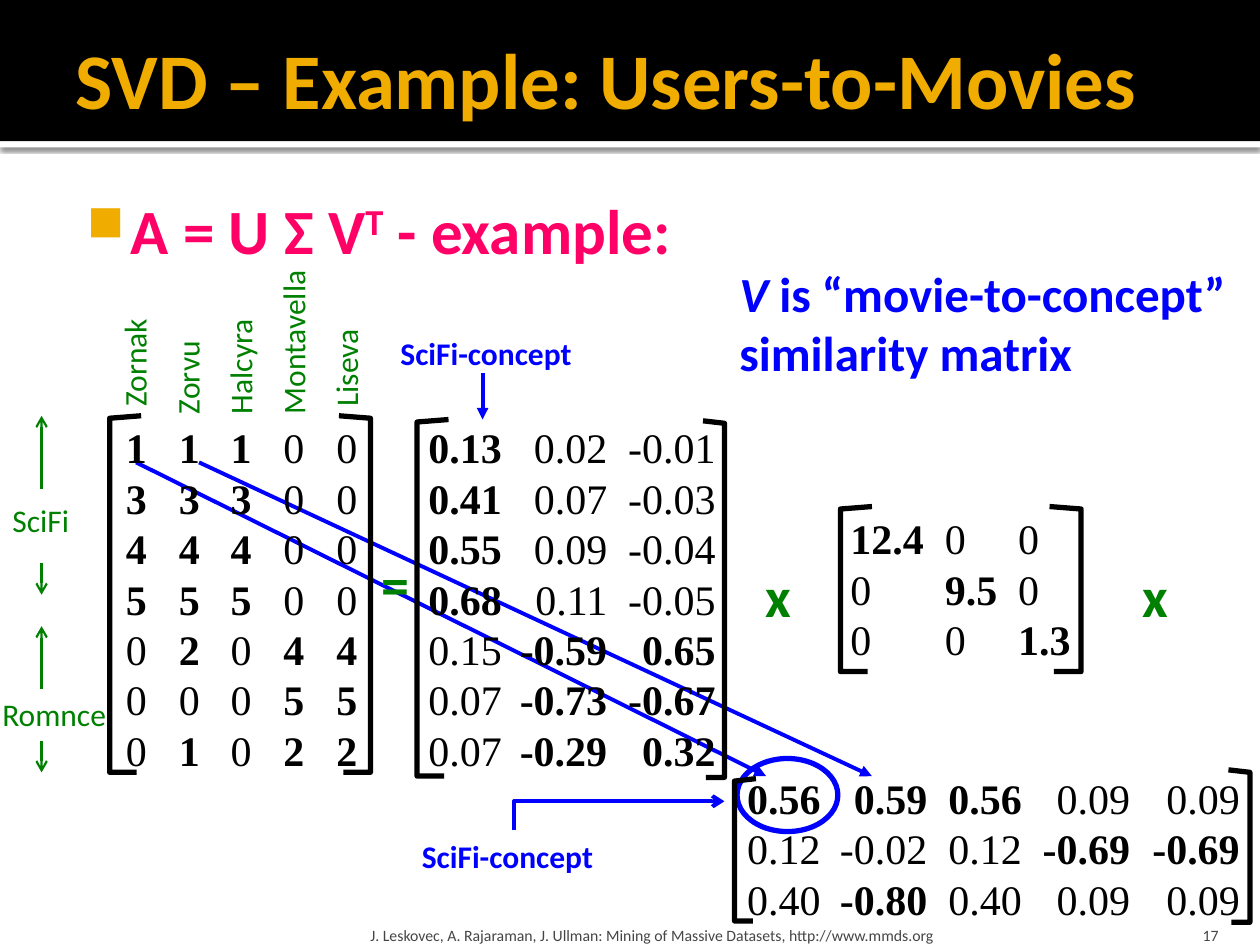
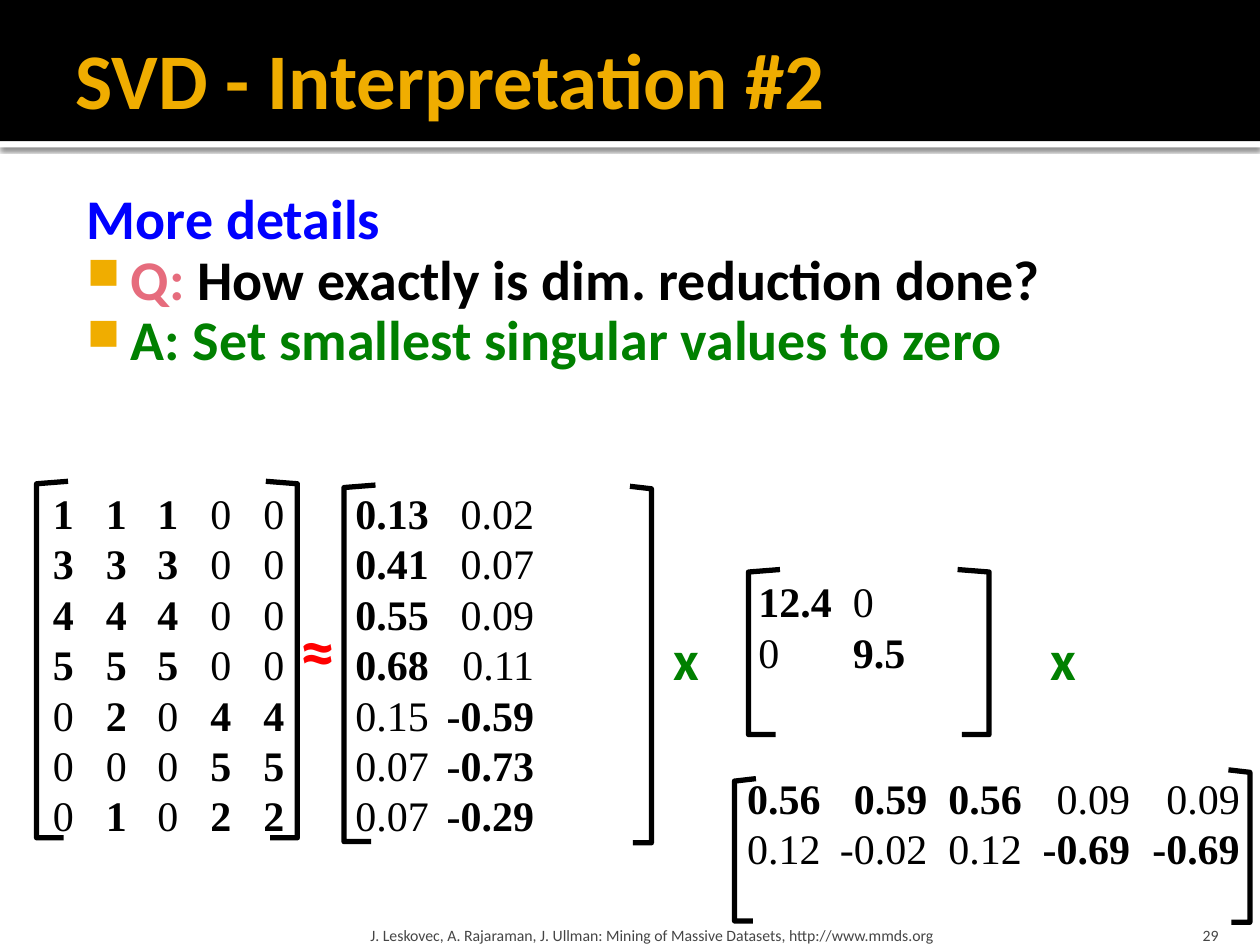
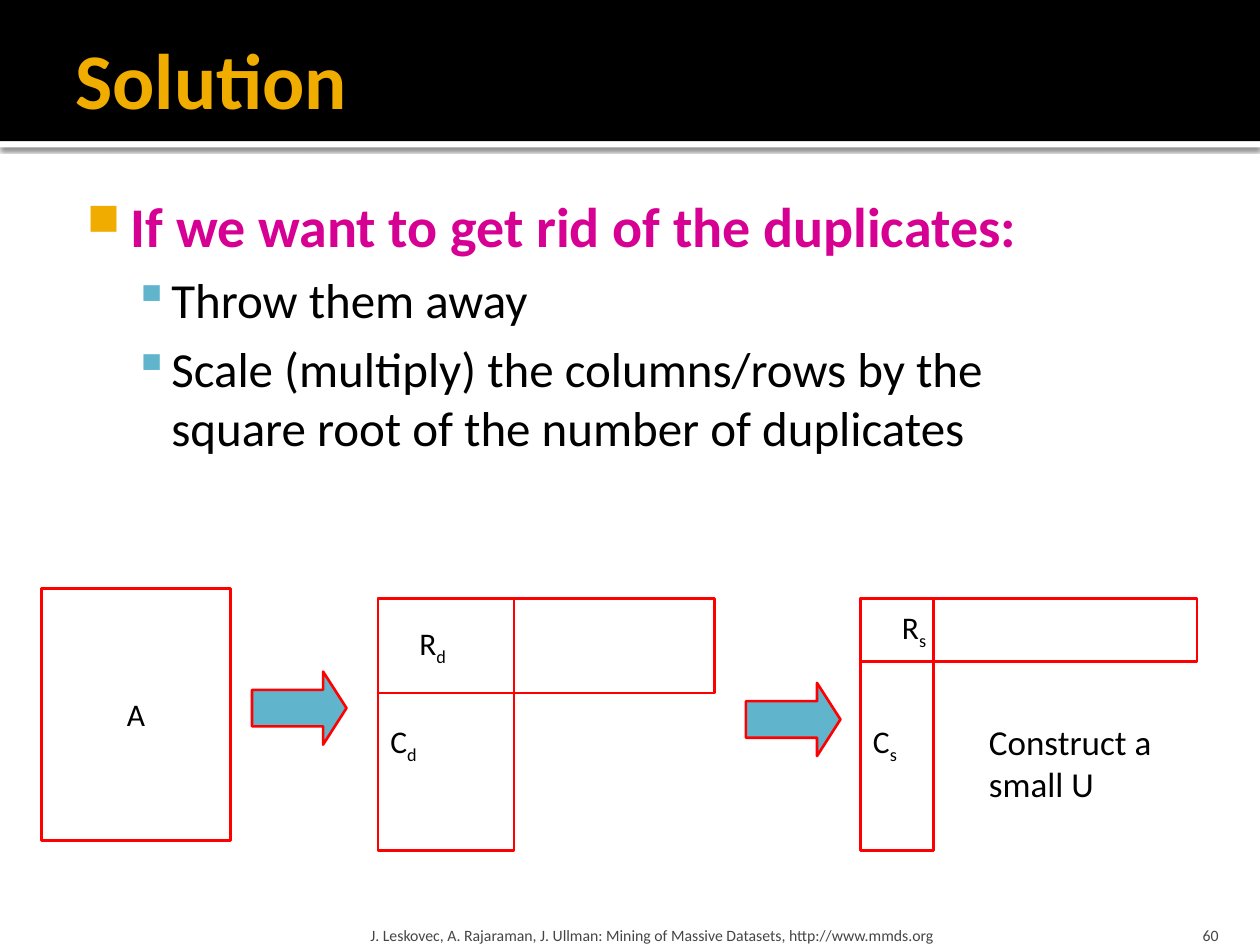
import pptx
import pptx.util
import pptx.dml.color
import pptx.enum.shapes
import pptx.enum.text
import pptx.oxml
import pptx.oxml.ns

Inches = pptx.util.Inches
Pt = pptx.util.Pt
SHAPE = pptx.enum.shapes.MSO_SHAPE
ANCHOR = pptx.enum.text.MSO_ANCHOR
ALIGN = pptx.enum.text.PP_ALIGN
NS = pptx.oxml.ns.nsdecls("a")
COLORS = {
    "black": "000000", "white": "FFFFFF", "gold": "F0AD00", "grey": "454545",
    "blue": "0000FF", "green": "008000", "red": "FF0000", "pink": "FF0066",
    "rose": "E66C7D", "magenta": "D60093", "teal": "60B5CC",
}


def write(slide, text, left, top, width, height, *, shape=None, fill=None, outline=None,
          weight=1.5, anchor=ANCHOR.TOP, inset=(0.1, 0.05, 0.1, 0.05), wrap=True, turn=0, **style):
    area = [Inches(length) for length in (left, top, width, height)]
    if shape is None:
        box = slide.shapes.add_textbox(*area)
    else:
        box = slide.shapes.add_shape(shape, *area)
        box.shadow.inherit = False
        if fill:
            box.fill.solid()
            box.fill.fore_color.rgb = pptx.dml.color.RGBColor.from_string(COLORS[fill])
        else:
            box.fill.background()
        if outline:
            box.line.color.rgb = pptx.dml.color.RGBColor.from_string(COLORS[outline])
            box.line.width = Pt(weight)
        else:
            box.line.fill.background()
    box.rotation = turn
    frame = box.text_frame
    frame.word_wrap = wrap
    frame.vertical_anchor = anchor
    frame.margin_left, frame.margin_top, frame.margin_right, frame.margin_bottom = map(Inches, inset)
    for index, runs in enumerate([text] if isinstance(text, str) else text):
        runs = [(runs, {})] if isinstance(runs, str) else runs
        look = {**style, **runs[0][1]}
        paragraph = frame.paragraphs[0] if index == 0 else frame.add_paragraph()
        paragraph.alignment = look.get("align", ALIGN.LEFT)
        paragraph.line_spacing = look.get("spacing", 1.0)
        if index and "before" in look:
            paragraph.space_before = Pt(look["before"])
        props = paragraph._p.get_or_add_pPr()
        if "indent" in look:
            props.set("marL", str(Inches(look["indent"])))
            props.set("indent", str(Inches(-look.get("hang", 0))))
        if "bullet" in look:
            char, color, percent = look["bullet"]
            for tag in (f'<a:buClr {NS}><a:srgbClr val="{COLORS[color]}"/></a:buClr>',
                        f'<a:buSzPct {NS} val="{percent * 1000}"/>',
                        f'<a:buChar {NS} char="{char}"/>'):
                props.append(pptx.oxml.parse_xml(tag))
        if "tabs" in look:
            side, stops = look["tabs"]
            marks = "".join(f'<a:tab pos="{Inches(stop)}" algn="{side}"/>' for stop in stops)
            props.append(pptx.oxml.parse_xml(f"<a:tabLst {NS}>{marks}</a:tabLst>"))
        for words, own in runs:
            form = {**style, **own}
            for part, line in enumerate(words.split("\n")):
                if part:
                    paragraph.add_line_break()
                run = paragraph.add_run()
                run.text = line
                run.font.name = form.get("font", "Calibri")
                run.font.size = Pt(form.get("size", 18))
                run.font.bold = form.get("bold", False)
                run.font.italic = form.get("italic", False)
                run.font.color.rgb = pptx.dml.color.RGBColor.from_string(COLORS[form.get("color", "black")])
                if "baseline" in form:
                    run.font._element.set("baseline", str(form["baseline"] * 1000))
    return box


def stroke(slide, points, color, weight, tip=None):
    points = [(Inches(x), Inches(y)) for x, y in points]
    if len(points) == 2:
        line = slide.shapes.add_connector(pptx.enum.shapes.MSO_CONNECTOR.STRAIGHT, *points[0], *points[1])
    else:
        builder = slide.shapes.build_freeform(*points[0])
        builder.add_line_segments(points[1:], close=False)
        line = builder.convert_to_shape()
        line.fill.background()
    line.line.color.rgb = pptx.dml.color.RGBColor.from_string(COLORS[color])
    line.line.width = Pt(weight)
    if tip:
        line.line._get_or_add_ln().append(pptx.oxml.parse_xml(f'<a:tailEnd {NS} type="{tip}"/>'))
    line._element.spPr.append(pptx.oxml.parse_xml(f"<a:effectLst {NS}/>"))


deck = pptx.Presentation()
deck.slide_width, deck.slide_height = Inches(10), Inches(7.5)

slides = []
for title, number in (("SVD – Example: Users-to-Movies", "17"),
                      ("SVD - Interpretation #2", "29"), ("Solution", "60")):
    slide = deck.slides.add_slide(deck.slide_layouts[6])
    stripe = write(slide, [], 0, 1.12, 10, 0.05, shape=SHAPE.RECTANGLE, fill="white")
    stripe._element.spPr.find(pptx.oxml.ns.qn("a:effectLst")).append(pptx.oxml.parse_xml(
        f'<a:outerShdw {NS} blurRad="{Pt(2.5)}" dist="{Pt(0.8)}" dir="5400000" rotWithShape="0">'
        f'<a:srgbClr val="{COLORS["black"]}"><a:alpha val="60000"/></a:srgbClr></a:outerShdw>'))
    write(slide, [], 0, 0, 10, 1.12, shape=SHAPE.RECTANGLE, fill="black")
    write(slide, title, 0.5, 0.08, 9, 1.08, anchor=ANCHOR.MIDDLE, inset=(0.1, 0.05, 0.05, 0.05),
          size=45, color="gold", bold=True)
    write(slide, "J. Leskovec, A. Rajaraman, J. Ullman: Mining of Massive Datasets, http://www.mmds.org",
          2.89, 7.2, 6.02, 0.3, anchor=ANCHOR.BOTTOM, inset=(0.05, 0.05, 0.05, 0), size=9, color="grey")
    write(slide, number, 8.97, 7.2, 0.8, 0.3, anchor=ANCHOR.BOTTOM, inset=(0.1, 0.05, 0.1, 0),
          size=9, color="grey", align=ALIGN.RIGHT)
    slides.append(slide)
example, reduction, solution = slides

body_inset = (0.06, 0.1, 0.1, 0.05)
level = {"indent": 0.48, "hang": 0.35}
square = {"bullet": ("■", "gold", 80)}
sublevel = {"indent": 0.8, "hang": 0.3, "before": 6, "bullet": ("▪", "teal", 100),
            "size": 28, "color": "black", "bold": False}

write(example, [[("A = U Σ V", {}), ("T", {"baseline": 30}), (" - example:", {})]],
      0.5, 1.42, 9, 1.28, inset=body_inset, size=36, color="pink", bold=True, **level, **square)
write(reduction, [
    "More details",
    [("Q: ", {"color": "rose", **square}), ("How exactly is dim. reduction done?", {"color": "black"})],
    [("A: Set smallest singular values to zero", {"color": "green", **square})],
], 0.5, 1.42, 9, 5.75, inset=body_inset, size=32, color="blue", bold=True, spacing=0.9, **level)
write(solution, [
    [("If we want to get rid of the duplicates:", square)],
    [("Throw them away", sublevel)],
    [("Scale (multiply) the columns/rows by the\nsquare root of the number of duplicates", sublevel)],
], 0.5, 1.42, 9, 5.75, inset=body_inset, size=32, color="magenta", bold=True, **level)

label = {"anchor": ANCHOR.MIDDLE, "wrap": False}
for left, top in ((3.08, 2.6), (3.25, 6.59)):
    write(example, "SciFi-concept", left, top, 1.67, 0.4, color="blue", bold=True, **label)
write(example, [[("V", {"italic": True}), (" is “movie-to-concept”", {})], "similarity matrix"],
      5.77, 2.04, 4.23, 1.04, size=28, color="blue", bold=True, **label)
stroke(example, [(3.83, 2.96), (3.83, 3.33)], "blue", 2.25, "triangle")
stroke(example, [(4.08, 6.59), (4.08, 6.36), (5.75, 6.36)], "blue", 2.25, "arrow")
for start, end in ((1.08, 6.08), (1.58, 6.92)):
    stroke(example, [(start, 3.67), (end, 6.16)], "blue", 2.25, "triangle")
write(example, [], 5.85, 6.02, 0.8, 0.58, shape=SHAPE.OVAL, outline="blue", weight=3)

for genre, left, top, width in (("SciFi", 0, 3.93, 0.69), ("Romnce", -0.08, 5.47, 1.06)):
    write(example, genre, left, top, width, 0.4, color="green", **label)
for start, end in ((3.88, 3.3), (4.47, 4.72), (5.47, 4.97), (5.88, 6.13)):
    stroke(example, [(0.33, start), (0.33, end)], "green", 1.25, "arrow")
write(example, [[("Zornak", {"indent": 0.06})], "Zorvu", "Halcyra", "Montavella",
                [("Liseva", {"indent": 0.06})]],
      1.16, 1.58, 1.39, 2.22, turn=270, wrap=False, color="green", spacing=1.4)

ratings = ["*1 *1 *1 0 0", "*3 *3 *3 0 0", "*4 *4 *4 0 0", "*5 *5 *5 0 0",
           "0 *2 0 *4 *4", "0 0 0 *5 *5", "0 *1 0 *2 *2"]
user_concepts = ["*0.13 0.02 -0.01", "*0.41 0.07 -0.03", "*0.55 0.09 -0.04", "*0.68 0.11 -0.05",
                 "0.15 *-0.59 *0.65", "0.07 *-0.73 *-0.67", "0.07 *-0.29 *0.32"]
strengths = ["*12.4 0 0", "0 *9.5 0", "0 0 *1.3"]
movie_concepts = ["*0.56 *0.59 *0.56 0.09 0.09", "0.12 -0.02 0.12 *-0.69 *-0.69",
                  "0.40 *-0.80 0.40 0.09 0.09"]

matrices = [
    (ratings, 1.0, 3.3, 2.0, ("l", (0.42, 0.83, 1.25, 1.67)),
     ((0.87, 0.25, 3.3, 6.13), (2.94, -0.25, 3.3, 6.13)), (-0.58, 0.52), 7, 5),
    (user_concepts, 3.4, 3.3, 2.5, ("r", (1.42, 2.28)),
     ((3.31, 0.25, 3.33, 6.16), (5.75, -0.17, 3.34, 6.17)), (-0.58, 0.52), 7, 2),
    (strengths, 6.75, 4.02, 2.0, ("l", (0.75, 1.33)),
     ((6.67, 0.25, 4.02, 5.33), (8.58, -0.25, 4.02, 5.33)), (-0.73, 0.5), 2, 2),
    (movie_concepts, 5.93, 6.08, 4.05, ("r", (1.43, 2.18, 3.04, 3.91)),
     ((5.83, 0.17, 6.18, 7.31), (9.92, -0.17, 6.11, 7.32)), (0, 0), 2, 5),
]
for slide in (example, reduction):
    for rows, left, top, width, tabs, brackets, shift, kept_rows, kept_columns in matrices:
        dx, dy = (0, 0)
        if slide is reduction:
            dx, dy = shift
            rows = [" ".join(row.split()[:kept_columns]) for row in rows[:kept_rows]]
        for spine, lip, upper, lower in brackets:
            x = spine + dx
            stroke(slide, [(x + lip, upper + dy), (x, upper + dy + 0.02), (x, lower + dy),
                           (x + 0.86 * lip, lower + dy)], "black", 3)
        lines = [[(("\t" if column else "") + cell.lstrip("*"), {"bold": cell.startswith("*")})
                  for column, cell in enumerate(row.split())] for row in rows]
        write(slide, lines, left + dx, top + dy, width, 0.1 + 0.4 * len(rows),
              inset=(0, 0.05, 0, 0.05), size=24, font="Times New Roman", tabs=tabs)

write(example, "=", 2.93, 4.31, 0.44, 0.64, size=32, color="green", bold=True, **label)
write(reduction, "≈", 2.29, 4.76, 0.51, 0.77, size=40, color="red", bold=True, **label)
for slide, dx, dy in ((example, 0, 0), (reduction, -0.73, 0.5)):
    for left in (5.98, 8.97):
        write(slide, "x", left + dx, 4.4 + dy, 0.44, 0.64, size=32, color="green", bold=True, **label)

frame_style = {"shape": SHAPE.RECTANGLE, "outline": "red", "anchor": ANCHOR.MIDDLE}
write(solution, "A", 0.33, 4.67, 1.5, 2, fill="white", align=ALIGN.CENTER, **frame_style)
for left, top in ((2, 5.33), (5.92, 5.42)):
    arrow = write(solution, [], left, top, 0.75, 0.58, shape=SHAPE.RIGHT_ARROW, fill="teal", outline="red")
    arrow.adjustments[0], arrow.adjustments[1] = 0.5, 0.32
for left, column_width, row_height, mark in ((3, 1.08, 0.75, "d"), (6.83, 0.58, 0.5, "s")):
    subscript = (mark, {"baseline": -25})
    write(solution, [[("C", {}), subscript]], left, 4.75, column_width, 2, fill="white",
          inset=(0.1, 0.35, 0.1, 0.05), **frame_style)
    write(solution, [[("R", {}), subscript]], left, 4.75, 2.67, row_height, indent=0.23, **frame_style)
write(solution, "Construct a small U", 7.75, 5.67, 1.58, 0.77, size=20)

deck.save("out.pptx")
